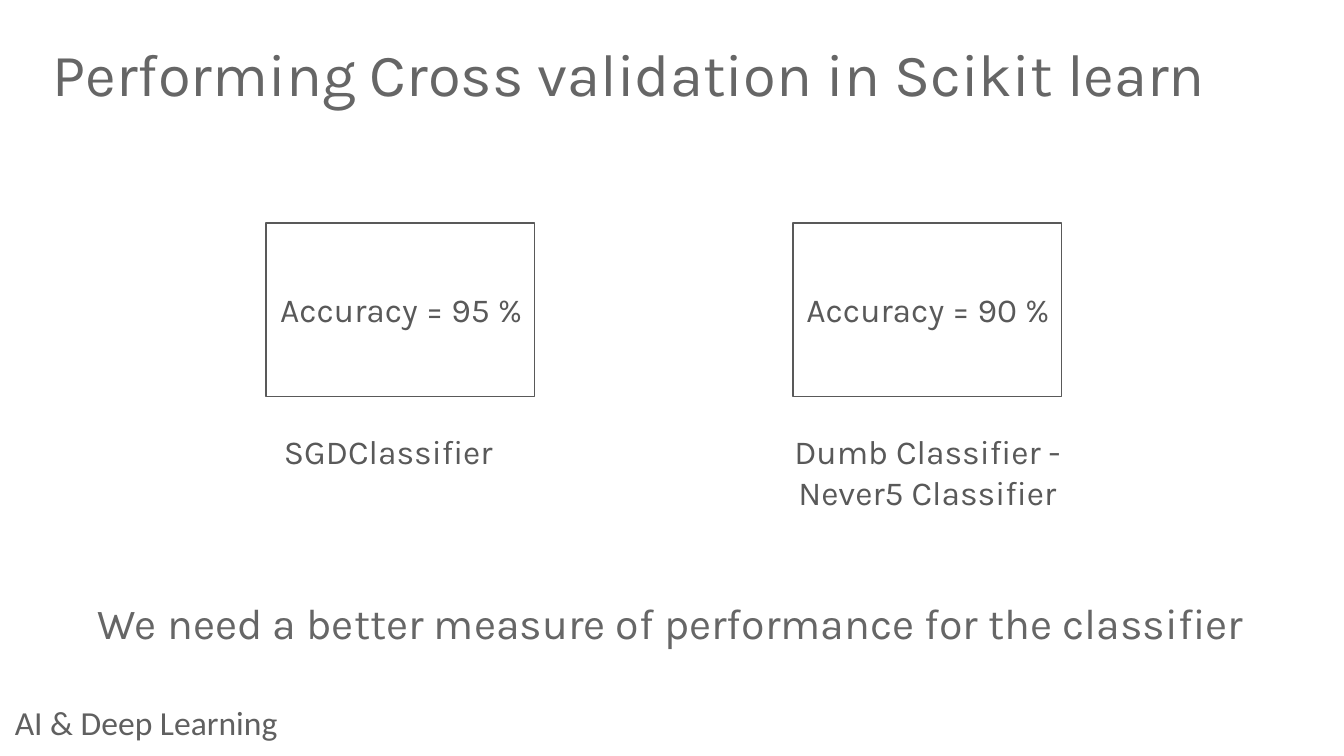
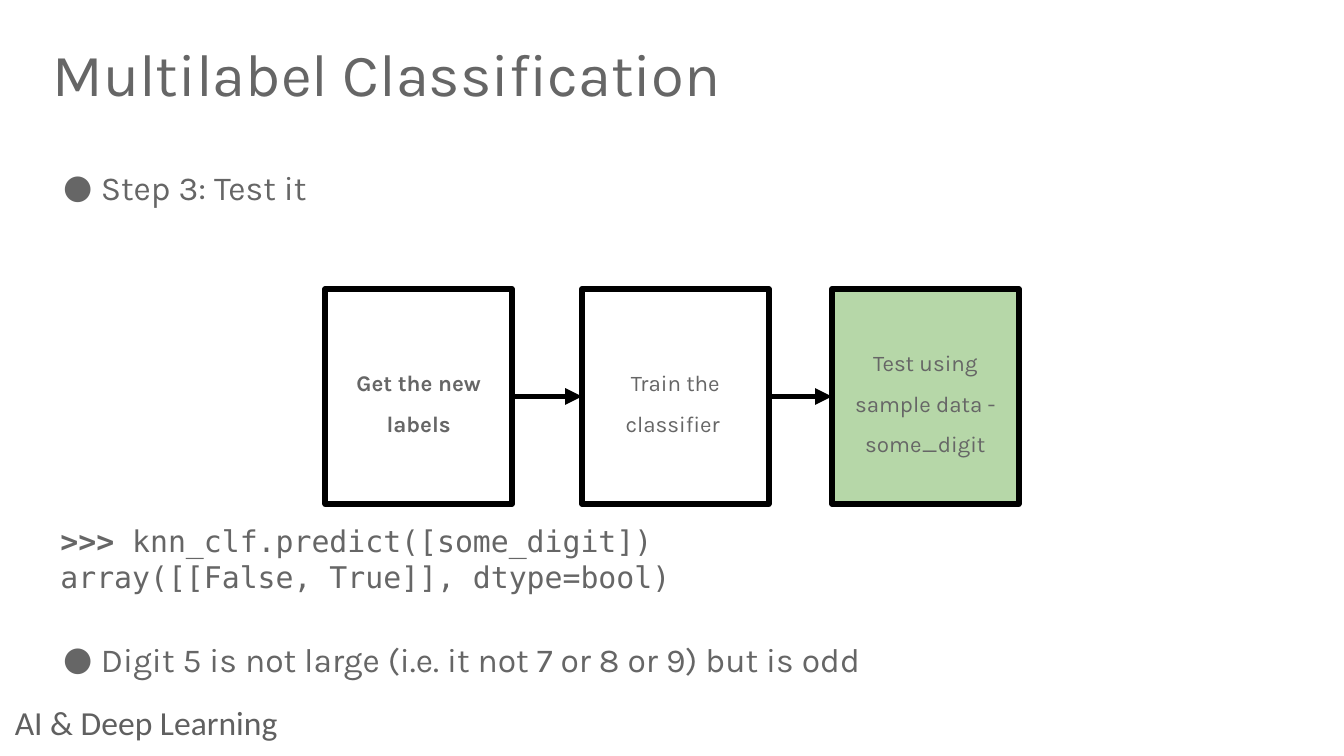
import dataclasses
import itertools

import lxml.etree
import pptx
import pptx.dml.color
import pptx.enum.shapes
import pptx.enum.text
import pptx.oxml.ns
import pptx.util

Inches = pptx.util.Inches
Pt = pptx.util.Pt
qn = pptx.oxml.ns.qn
Align = pptx.enum.text.PP_ALIGN
Anchor = pptx.enum.text.MSO_ANCHOR
RGB = pptx.dml.color.RGBColor.from_string


@dataclasses.dataclass(frozen=True)
class Theme:
    text: str = "666666"
    card: str = "595959"
    footer: str = "606060"
    outline: str = "000000"
    plain: str = "FFFFFF"
    current: str = "B6D7A8"
    sans: str = "Karla"
    code: str = "DejaVu Sans Mono"
    footer_font: str = "Calibri"
    title_size: int = 32
    conclusion_size: int = 23
    body_size: int = 18
    code_size: int = 16
    step_size: int = 12


THEME = Theme()
SLIDE_WIDTH = Inches(10)
SLIDE_HEIGHT = SLIDE_WIDTH * 9 // 16
TITLE_BOX = (0.39, 0.24, 9.22, 0.67)
FOOTER_BOX = (0.07, 5.26, 2.85, 0.23)


def apply_formats(target, formats):
    for name, value in formats.items():
        setattr(target, name, value)


def place(shape, box):
    sides = ("left", "top", "width", "height")
    apply_formats(shape, {side: Inches(length) for side, length in zip(sides, box)})


def write(shape, paragraphs, size, font=THEME.sans, color=THEME.text, inset=0.04,
          anchor=Anchor.MIDDLE, align=Align.LEFT, spacing=None):
    frame = shape.text_frame
    margins = ("margin_left", "margin_top", "margin_right", "margin_bottom")
    apply_formats(frame, {
        "auto_size": pptx.enum.text.MSO_AUTO_SIZE.NONE,
        "word_wrap": True,
        "vertical_anchor": anchor,
        **dict.fromkeys(margins, Inches(inset)),
    })
    for index, runs in enumerate(paragraphs):
        paragraph = frame.add_paragraph() if index else frame.paragraphs[0]
        apply_formats(paragraph, {"alignment": align, "line_spacing": spacing})
        for text, bold in runs:
            run = paragraph.add_run()
            run.text = text
            apply_formats(run.font, {"size": Pt(size), "name": font, "bold": bold})
            run.font.color.rgb = RGB(color)


def add_text(slide, box, text, size, **style):
    label = slide.shapes.add_textbox(*map(Inches, box))
    paragraphs = [[(text, False)]] if isinstance(text, str) else text
    write(label, paragraphs, size, **style)
    return label


def add_rectangle(slide, box, line_color, line_width, fill=None):
    rectangle = slide.shapes.add_shape(
        pptx.enum.shapes.MSO_SHAPE.RECTANGLE, *map(Inches, box))
    rectangle.shadow.inherit = False
    if fill:
        rectangle.fill.solid()
        rectangle.fill.fore_color.rgb = RGB(fill)
    else:
        rectangle.fill.background()
    rectangle.line.color.rgb = RGB(line_color)
    rectangle.line.width = Pt(line_width)
    return rectangle


def add_bullet(slide, box, text):
    bullet = add_text(slide, box, text, THEME.body_size)
    properties = bullet.text_frame.paragraphs[0]._p.get_or_add_pPr()
    properties.set("marL", str(Inches(0.32)))
    properties.set("indent", str(Inches(-0.28)))
    bullet_color = lxml.etree.SubElement(properties, qn("a:buClr"))
    lxml.etree.SubElement(bullet_color, qn("a:srgbClr"), val=THEME.text)
    lxml.etree.SubElement(properties, qn("a:buFont"), typeface=THEME.sans)
    lxml.etree.SubElement(properties, qn("a:buChar"), char="●")


def add_arrow(slide, source, target):
    arrow = slide.shapes.add_connector(
        pptx.enum.shapes.MSO_CONNECTOR.STRAIGHT, 0, 0, 0, 0)
    arrow.begin_connect(source, 3)
    arrow.end_connect(target, 1)
    arrow.line.color.rgb = RGB(THEME.outline)
    arrow.line.width = Pt(3)
    lxml.etree.SubElement(arrow.line._get_or_add_ln(), qn("a:tailEnd"), type="triangle")
    lxml.etree.SubElement(arrow.element.spPr, qn("a:effectLst"))


def add_titled_slide(deck, title):
    slide = deck.slides.add_slide(deck.slide_layouts[5])
    add_text(slide, FOOTER_BOX, "AI & Deep Learning", THEME.body_size,
             font=THEME.footer_font, color=THEME.footer)
    heading = slide.shapes.title
    place(heading, TITLE_BOX)
    write(heading, [[(title, False)]], THEME.title_size, inset=0, spacing=0.9)
    return slide


def add_accuracy_card(slide, box, accuracy, name, name_box, name_anchor):
    left, top, width, height = box
    style = {"color": THEME.card, "inset": 0.1, "align": Align.CENTER}
    add_rectangle(slide, box, THEME.card, 0.75)
    add_text(slide, (left - 0.02, top + 0.3, width + 0.05, 0.68),
             f"Accuracy = {accuracy} %", THEME.body_size, **style)
    shift, name_width, name_height = name_box
    add_text(slide, (left + shift, top + height + 0.16, name_width, name_height),
             name, THEME.body_size, anchor=name_anchor, **style)


def add_step_flow(slide, box, steps):
    left, top, width, height = box
    boxes = []
    for offset, text, bold, fill in steps:
        step = add_rectangle(slide, (left + offset, top, width, height),
                             THEME.outline, 3, fill)
        write(step, [[(text, bold)]], THEME.step_size, align=Align.CENTER, spacing=1.5)
        boxes.append(step)
    for source, target in itertools.pairwise(boxes):
        add_arrow(slide, source, target)


def build_cross_validation(deck):
    slide = add_titled_slide(deck, "Performing Cross validation in Scikit learn")
    add_accuracy_card(slide, (1.98, 1.66, 2, 1.29), 95, "SGDClassifier",
                      (0, 1.82, 0.5), Anchor.MIDDLE)
    add_accuracy_card(slide, (5.9, 1.66, 2, 1.29), 90,
                      "Dumb Classifier - Never5 Classifier",
                      (-0.11, 2.22, 1), Anchor.TOP)
    add_text(slide, (0.39, 4.43, 9.22, 0.4),
             "We need a better measure of performance for the classifier",
             THEME.conclusion_size, inset=0.06, align=Align.CENTER)


def build_multilabel(deck):
    slide = add_titled_slide(deck, "Multilabel Classification")
    add_bullet(slide, (0.39, 1.12, 9.22, 0.55), "Step 3: Test it")
    add_text(slide, (0.39, 3.68, 9.22, 0.95), [
        [(">>>", True), (" knn_clf.predict([some_digit])", False)],
        [("array([[False, True]], dtype=bool)", False)],
    ], THEME.code_size, font=THEME.code, inset=0.06)
    add_bullet(slide, (0.39, 4.63, 9.22, 0.55),
               "Digit 5 is not large (i.e. it not 7 or 8 or 9) but is odd")
    add_step_flow(slide, (2.42, 2.15, 1.39, 1.6), [
        (0, "Get the new labels", True, THEME.plain),
        (1.91, "Train the classifier ", False, None),
        (3.77, "Test using sample data - some_digit", False, THEME.current),
    ])


def main():
    deck = pptx.Presentation()
    apply_formats(deck, {"slide_width": SLIDE_WIDTH, "slide_height": SLIDE_HEIGHT})
    build_cross_validation(deck)
    build_multilabel(deck)
    deck.save("out.pptx")


if __name__ == "__main__":
    main()
